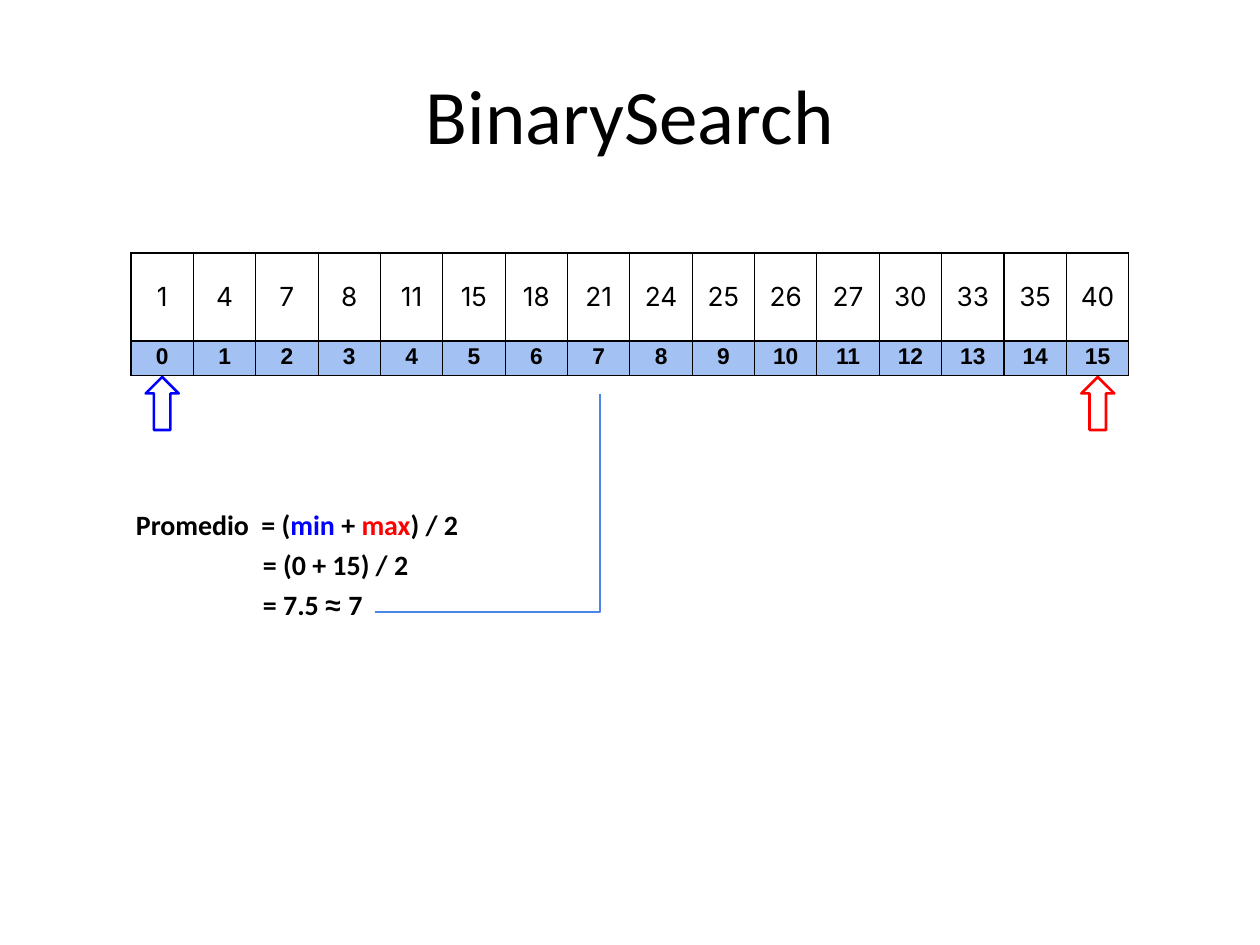
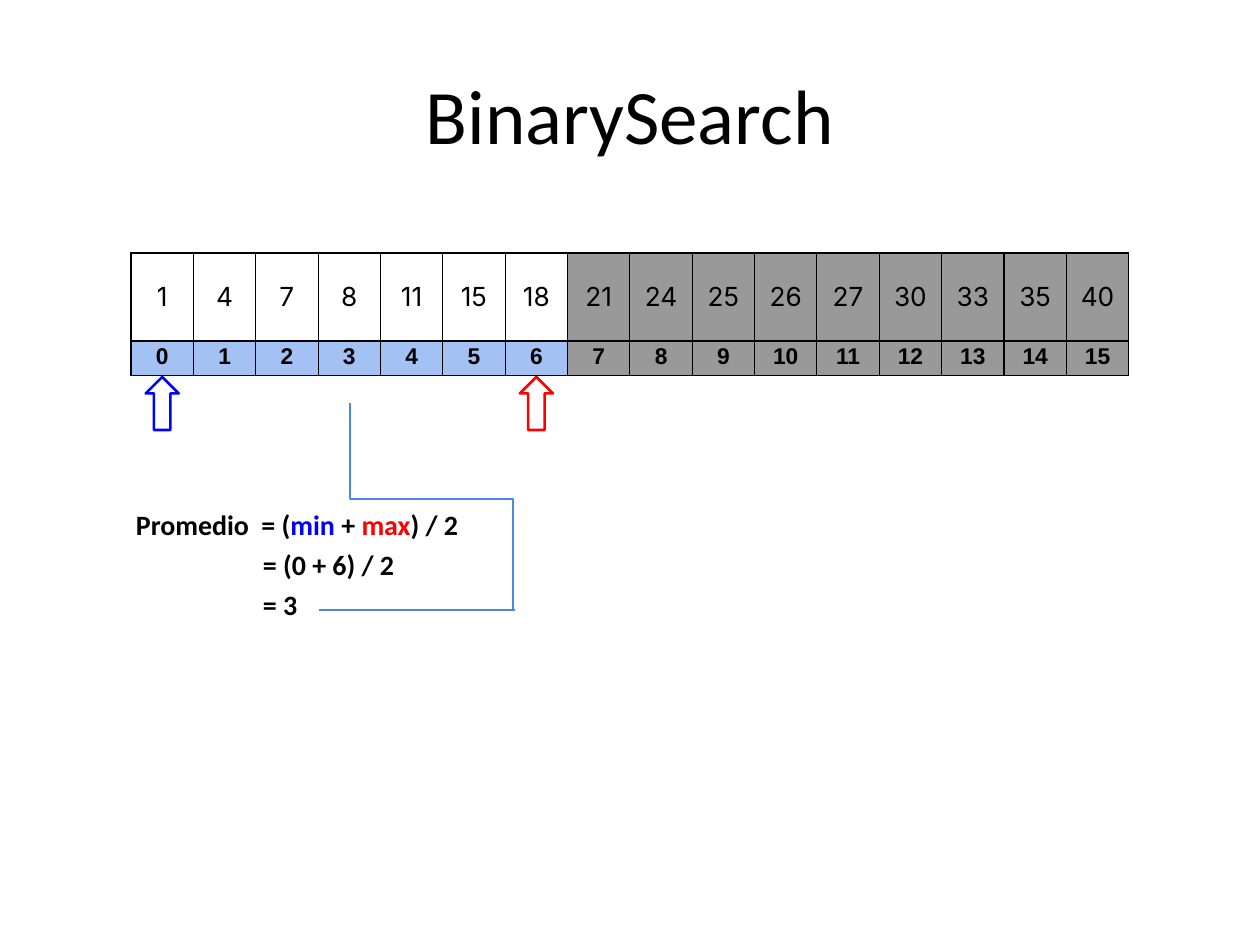
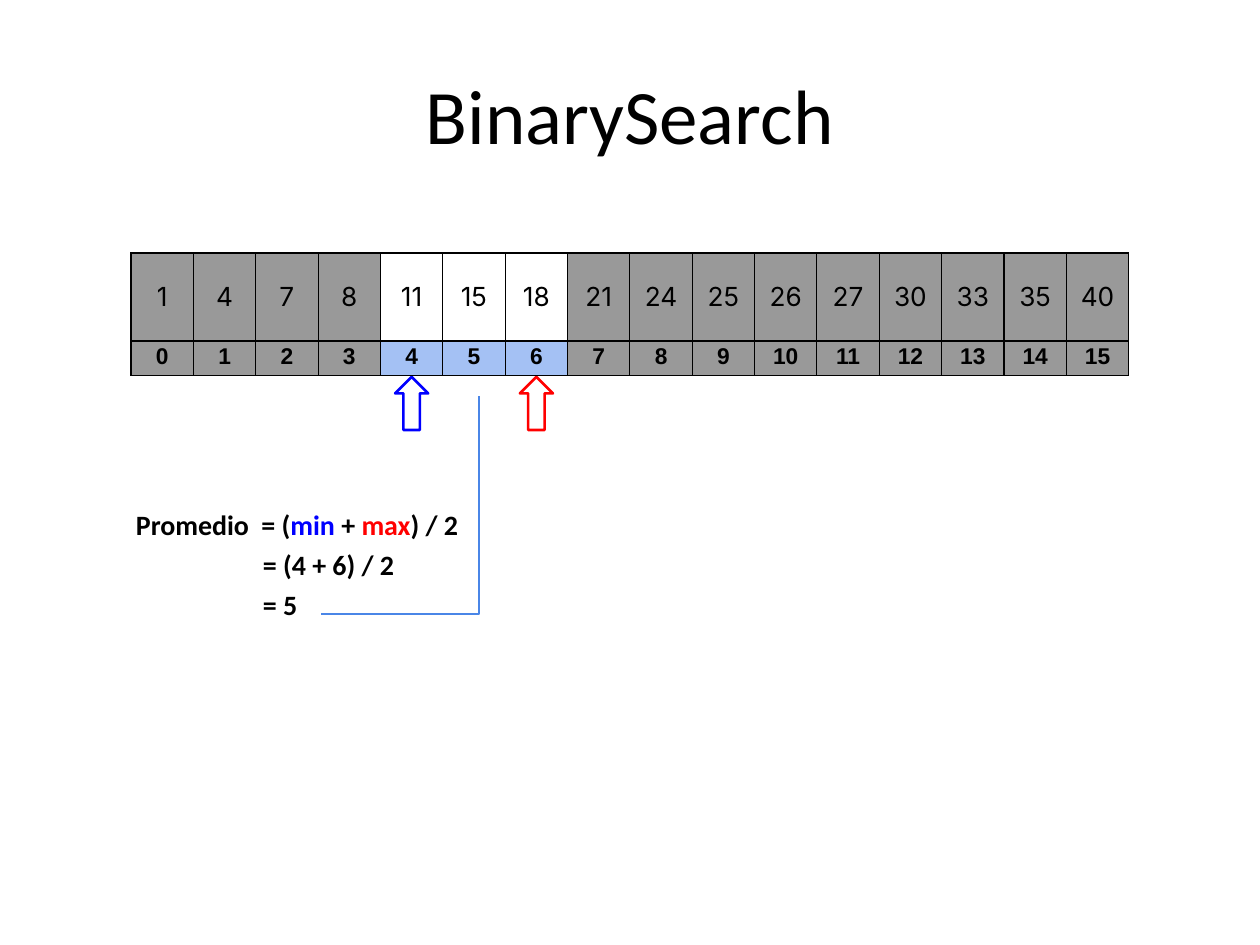
"""Three steps of a binary search over a sorted array."""
from pptx import Presentation, util as u
from pptx.dml.color import RGBColor
from pptx.enum import shapes, text
from pptx.oxml import parse_xml
from pptx.oxml.ns import nsdecls, qn

# Content
TITLE = "BinarySearch"
VALUES = [1, 4, 7, 8, 11, 15, 18, 21, 24, 25, 26, 27, 30, 33, 35, 40]
BLACK, MIN, MAX, TRACE = "000000", "0000FF", "FF0000", "4A86E7"
INDEX_FILL, DISCARDED_FILL = "A4C1F4", "999999"
STEPS = [
    {"min": 0, "max": 15, "result": [("= 7.5 ", "Calibri"), ("≈ ", "Arial"), ("7", "Calibri")],
     "traces": [[(375, 612), (600, 612), (600, 394)]]},
    {"min": 0, "max": 6, "result": [("= 3", "Calibri")],
     "traces": [[(513, 610), (513, 499), (350, 499), (350, 403)],
                [(319, 610), (515, 610)]]},
    {"min": 4, "max": 6, "result": [("= 5", "Calibri")],
     "traces": [[(321, 614), (479, 614), (479, 396)]]},
]

# Layout, in pixels
SCALE = 914400 / 126
TITLE_BOX = (425, 65, 410, 96)
FORMULA_BOX = (136, 501, 326, 124)
FORMULA_INDENT = 127
ARRAY_LEFT, ARRAY_TOP, ARRAY_WIDTH = 131, 253, 998
ROW_HEIGHTS = (88, 35)
COLUMN = ARRAY_WIDTH / len(VALUES)
ARROW_TOP, ARROW_WIDTH, ARROW_HEIGHT = 377, 33, 53


def px(length):
    """Turn pixels into EMU."""
    return u.Emu(round(length * SCALE))


def rgb(color):
    """Turn a hex string into a colour."""
    return RGBColor.from_string(color)


def set_font(font, name, size, color=BLACK, bold=False):
    """Set the look of a paragraph's font."""
    font.name, font.size, font.bold = name, u.Pt(size), bold
    font.color.rgb = rgb(color)


def set_margins(frame, top=0):
    """Remove the insets of a text frame or cell, except the top one."""
    frame.margin_left = frame.margin_right = frame.margin_bottom = 0
    frame.margin_top = px(top)


def outline(shape, color):
    """Leave only a thin coloured outline."""
    shape.shadow.inherit = False
    shape.fill.background()
    shape.line.color.rgb = rgb(color)
    shape.line.width = u.Pt(1.5)


def add_title(slide):
    """Place the title in its placeholder."""
    title = slide.shapes.title
    title.left, title.top, title.width, title.height = map(px, TITLE_BOX)
    frame = title.text_frame
    set_margins(frame, 1)
    frame.word_wrap = False
    frame.text = TITLE
    set_font(frame.paragraphs[0].font, "Calibri", 44)
    frame.paragraphs[0].alignment = text.PP_ALIGN.CENTER


def add_formula(slide, step):
    """Write the average and how it is worked out."""
    frame = slide.shapes.add_textbox(*map(px, FORMULA_BOX)).text_frame
    set_margins(frame, 7)
    frame.word_wrap = True
    formula = [("Promedio", BLACK), (" ", BLACK), ("= (", BLACK), ("min ", MIN),
               ("+ ", BLACK), ("max", MAX), (") / 2", BLACK)]
    definition = frame.paragraphs[0]
    definition.space_before = u.Pt(4.6)
    set_font(definition.font, "Calibri", 16, bold=True)
    for words, color in formula:
        run = definition.add_run()
        run.text = words
        run.font.color.rgb = rgb(color)
        if words == " ":  # widen the gap before the equals sign
            run.font._element.set("spc", "350")

    substitution = [(f"= ({step['min']} + {step['max']}) / 2", "Calibri")]
    for line in (substitution, step["result"]):
        working = frame.add_paragraph()
        working.space_before = u.Pt(3.6)
        working._p.get_or_add_pPr().set("marL", str(px(FORMULA_INDENT)))
        set_font(working.font, "Calibri", 16, bold=True)
        for words, font_name in line:
            run = working.add_run()
            run.text = words
            run.font.name = font_name


def add_borders(cell):
    """Draw thin black lines around a cell."""
    properties = cell._tc.get_or_add_tcPr()
    for position, side in enumerate(("lnL", "lnR", "lnT", "lnB")):
        properties.insert(position, parse_xml(
            f'<a:{side} {nsdecls("a")} w="9525"><a:solidFill>'
            f'<a:srgbClr val="{BLACK}"/></a:solidFill></a:{side}>'))


def add_array(slide, step):
    """Draw values over indexes, greying out what the search has discarded."""
    table = slide.shapes.add_table(
        2, len(VALUES), px(ARRAY_LEFT), px(ARRAY_TOP),
        px(ARRAY_WIDTH), px(sum(ROW_HEIGHTS))).table
    table.first_row = table.horz_banding = False
    for row, height in zip(table.rows, ROW_HEIGHTS):
        row.height = px(height)
    for index, value in enumerate(VALUES):
        table.columns[index].width = px(COLUMN)
        active = step["min"] <= index <= step["max"]
        rows = [(value, "Inter", 15, False, None, 0),
                (index, "Arial", 13, True, INDEX_FILL, 4)]
        for row, (number, name, size, bold, fill, lift) in enumerate(rows):
            cell = table.cell(row, index)
            set_margins(cell)
            cell.margin_bottom = px(lift)
            cell.vertical_anchor = text.MSO_ANCHOR.MIDDLE
            cell.text = str(number)
            paragraph = cell.text_frame.paragraphs[0]
            paragraph.alignment = text.PP_ALIGN.CENTER
            set_font(paragraph.font, name, size, bold=bold)
            color = fill if active else DISCARDED_FILL
            if color:
                cell.fill.solid()
                cell.fill.fore_color.rgb = rgb(color)
            else:
                cell.fill.background()
            add_borders(cell)


def add_pointer(slide, index, color):
    """Point an arrow at the middle of an array column."""
    left = ARRAY_LEFT + COLUMN * (index + 0.5) - ARROW_WIDTH / 2
    arrow = slide.shapes.add_shape(
        shapes.MSO_SHAPE.UP_ARROW, px(left), px(ARROW_TOP),
        px(ARROW_WIDTH), px(ARROW_HEIGHT))
    outline(arrow, color)


def add_trace(slide, points):
    """Lead from the result to its column."""
    start, *rest = points
    if len(rest) == 1:
        line = slide.shapes.add_connector(
            shapes.MSO_CONNECTOR.STRAIGHT, *map(px, start + rest[0]))
        line.line.color.rgb = rgb(TRACE)
        line.line.width = u.Pt(1.5)
        line._element.spPr.append(line._element.spPr.makeelement(qn("a:effectLst"), {}))
        return
    builder = slide.shapes.build_freeform(*start, scale=SCALE)
    builder.add_line_segments(rest, close=False)
    outline(builder.convert_to_shape(), TRACE)


deck = Presentation()
deck.slide_width, deck.slide_height = px(1260), px(945)
title_only = deck.slide_layouts[5]
for step in STEPS:
    slide = deck.slides.add_slide(title_only)
    add_title(slide)
    add_formula(slide, step)
    add_array(slide, step)
    add_pointer(slide, step["min"], MIN)
    add_pointer(slide, step["max"], MAX)
    for points in step["traces"]:
        add_trace(slide, points)
deck.save("out.pptx")
